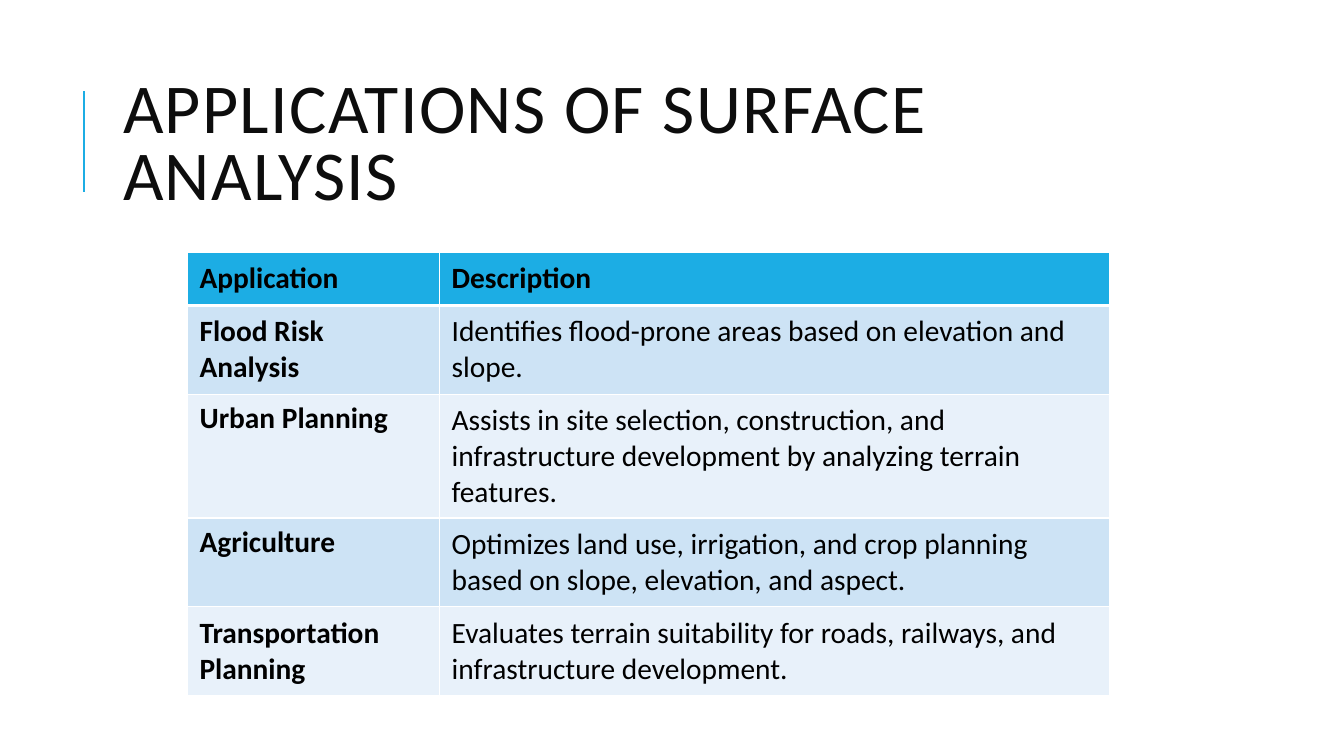
from typing import NamedTuple

from lxml import etree
from pptx import Presentation
from pptx.dml.color import RGBColor
from pptx.enum.shapes import MSO_CONNECTOR
from pptx.enum.text import MSO_ANCHOR, MSO_AUTO_SIZE, PP_ALIGN
from pptx.oxml.ns import qn
from pptx.slide import Slide
from pptx.table import _Cell
from pptx.text.text import TextFrame
from pptx.util import Inches, Pt

TOP, MIDDLE = MSO_ANCHOR.TOP, MSO_ANCHOR.MIDDLE
LEFT = PP_ALIGN.LEFT
NO_FIT = MSO_AUTO_SIZE.NONE
STRAIGHT = MSO_CONNECTOR.STRAIGHT
FONT = "Calibri"
BLUE, DARK, PALE = "1CADE4", "CDE3F5", "E8F1FA"
WHITE, BLACK, INK = "FFFFFF", "000000", "0D0D0D"
THIN, THICK = 1, 3


class Row(NamedTuple):
    name: str
    text: str
    height: float
    anchor: MSO_ANCHOR = MIDDLE


WIDTHS = (2.5, 6.65)
ROWS = (
    Row("Application", "Description", 0.53),
    Row("Flood Risk Analysis",
        "Identifies flood-prone areas based on elevation and slope.", 0.88),
    Row("Urban Planning",
        "Assists in site selection, construction, and infrastructure "
        "development by analyzing terrain features.", 1.23, TOP),
    Row("Agriculture",
        "Optimizes land use, irrigation, and crop planning based on slope, "
        "elevation, and aspect.", 0.88, TOP),
    Row("Transportation Planning",
        "Evaluates terrain suitability for roads, railways, and "
        "infrastructure development.", 0.88),
)


def color(code: str) -> RGBColor:
    return RGBColor.from_string(code)


def write(frame: TextFrame, text: str, *, size: float, ink: str = BLACK,
          bold: bool = False, lead: float = 1.0, track: float = 0) -> None:
    para = frame.paragraphs[0]
    para.alignment = LEFT
    para.line_spacing = lead
    run = para.add_run()
    run.text = text
    run.font.name = FONT
    run.font.size = Pt(size)
    run.font.bold = bold
    run.font.color.rgb = color(ink)
    if track:
        run.font._element.set("spc", str(int(track * 100)))


def border(cell: _Cell, side: str, width: float) -> None:
    props = cell._tc.get_or_add_tcPr()
    line = etree.SubElement(props, qn(f"a:ln{side}"), w=str(Pt(width)))
    fill = etree.SubElement(line, qn("a:solidFill"))
    etree.SubElement(fill, qn("a:srgbClr"), val=WHITE)


def add_rule(slide: Slide) -> None:
    rule = slide.shapes.add_connector(
        STRAIGHT, Inches(0.83), Inches(1.9), Inches(0.83), Inches(0.9))
    rule.line.color.rgb = color(BLUE)
    rule.line.width = Pt(1.5)
    etree.SubElement(rule._element.spPr, qn("a:effectLst"))


def add_title(slide: Slide) -> None:
    title = slide.shapes.title
    title.left, title.top = Inches(1.12), Inches(0.64)
    title.width, title.height = Inches(10.63), Inches(1.64)
    frame = title.text_frame
    frame.word_wrap = True
    frame.auto_size = NO_FIT
    frame.vertical_anchor = MIDDLE
    write(frame, "APPLICATIONS OF SURFACE ANALYSIS",
          size=50, ink=INK, lead=0.8, track=1)


def fill_cell(cell: _Cell, row: Row, num: int, col: int) -> None:
    head, first = num == 0, col == 0
    cell.margin_left = cell.margin_right = Inches(0.12)
    cell.margin_top = cell.margin_bottom = Inches(0.06)
    cell.vertical_anchor = row.anchor if first else MIDDLE
    border(cell, "L", THIN)
    border(cell, "R", THIN)
    border(cell, "T", THICK if num == 1 else THIN)
    border(cell, "B", THICK if head else THIN)
    cell.fill.solid()
    band = DARK if num % 2 else PALE
    cell.fill.fore_color.rgb = color(BLUE if head else band)
    write(cell.text_frame, row.name if first else row.text,
          size=21, bold=head or first)


def add_grid(slide: Slide) -> None:
    high = sum(row.height for row in ROWS)
    table = slide.shapes.add_table(
        len(ROWS), len(WIDTHS), Inches(1.86), Inches(2.5),
        Inches(sum(WIDTHS)), Inches(high)).table
    for col, width in enumerate(WIDTHS):
        table.columns[col].width = Inches(width)
    for num, row in enumerate(ROWS):
        table.rows[num].height = Inches(row.height)
        for col in range(len(WIDTHS)):
            fill_cell(table.cell(num, col), row, num, col)


def main() -> None:
    deck = Presentation()
    deck.slide_width, deck.slide_height = Inches(13.33), Inches(7.5)
    slide = deck.slides.add_slide(deck.slide_layouts.get_by_name("Title Only"))
    add_rule(slide)
    add_title(slide)
    add_grid(slide)
    deck.save("out.pptx")


if __name__ == "__main__":
    main()
